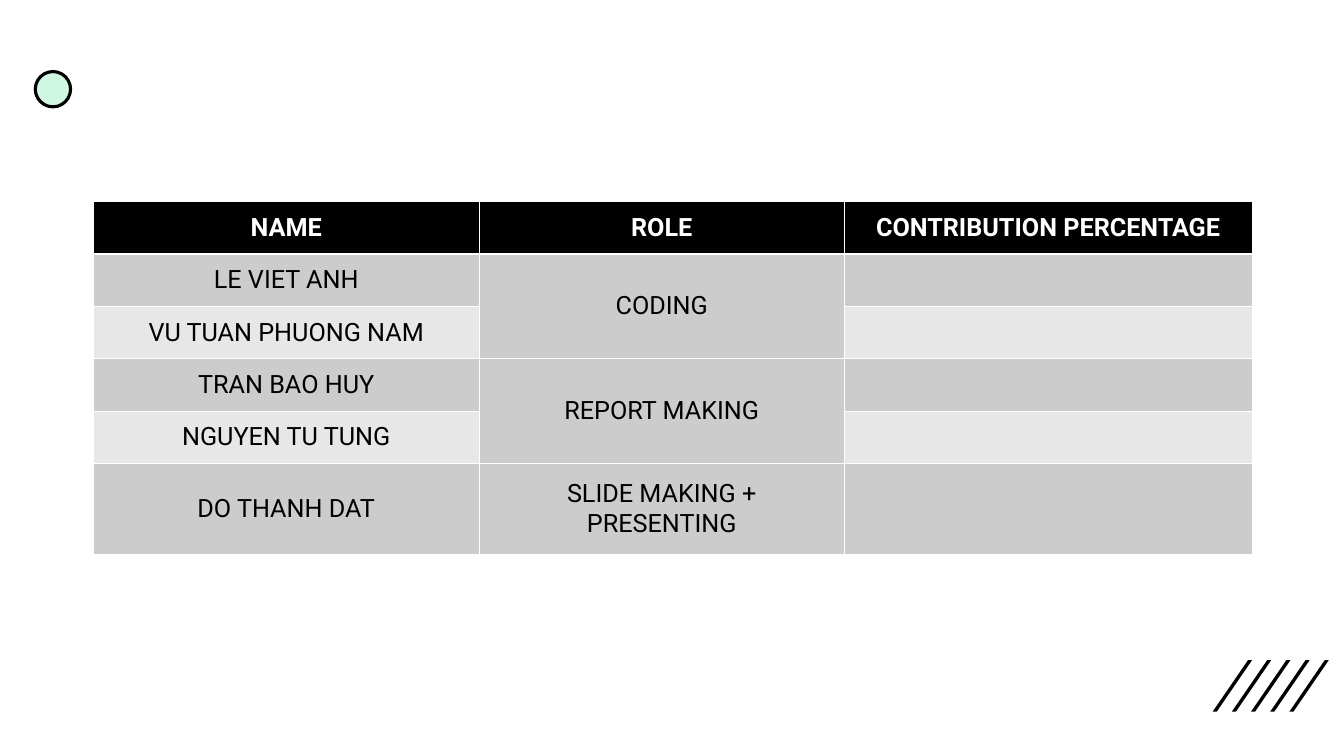
from pptx import Presentation
from pptx.dml.color import RGBColor as RGB
from pptx.enum.shapes import MSO_SHAPE as Shape
from pptx.enum.text import MSO_ANCHOR as Anchor, PP_ALIGN as Align
from pptx.util import Pt


def paint(fill, color):
    fill.solid()
    fill.fore_color.rgb = RGB.from_string(color)


deck = Presentation()
deck.slide_width, deck.slide_height = Pt(960), Pt(540)
slide = deck.slides.add_slide(deck.slide_layouts[6])
shapes = slide.shapes

# Slanted stripes, bottom right
for i in range(5):
    left, top, low = 866.2 + 13.7 * i, 471.6, 508.3
    path = shapes.build_freeform(Pt(left + 2.9), Pt(low), scale=1.0)
    path.add_line_segments([(Pt(left), Pt(low)), (Pt(left + 25.2), Pt(top)),
                            (Pt(left + 28.1), Pt(top))], close=True)
    stripe = path.convert_to_shape()
    stripe.shadow.inherit = False
    paint(stripe.fill, "000000")
    stripe.line.fill.background()

# Green dot, top left
dot = shapes.add_shape(Shape.OVAL, Pt(25.2), Pt(51.1), Pt(25.2), Pt(25.2))
dot.shadow.inherit = False
paint(dot.fill, "CFF7E1")
paint(dot.line.fill, "000000")
dot.line.width = Pt(2.25)

# Team table: the table style draws the white rules
rows = [
    ("NAME", "ROLE", "CONTRIBUTION PERCENTAGE"),
    ("LE VIET ANH", "CODING", ""),
    ("VU TUAN PHUONG NAM", "", ""),
    ("TRAN BAO HUY", "REPORT MAKING", ""),
    ("NGUYEN TU TUNG", "", ""),
    ("DO THANH DAT", "SLIDE MAKING + PRESENTING", ""),
]
wide = [276, 260.5, 291.5]
high = [37.44] * 5 + [64.8]
frame = shapes.add_table(len(rows), len(wide), Pt(66.5), Pt(144),
                         Pt(sum(wide)), Pt(sum(high)))
table = frame.table
for col, width in zip(table.columns, wide):
    col.width = Pt(width)

for r, texts in enumerate(rows):
    table.rows[r].height = Pt(high[r])
    head = r == 0
    back = "000000" if head else "CCCCCC" if r % 2 else "E7E7E7"
    style = {"name": "Roboto", "size": Pt(18), "bold": head}
    for c, text in enumerate(texts):
        cell = table.cell(r, c)
        paint(cell.fill, back)
        cell.vertical_anchor = Anchor.MIDDLE
        cell.text = text
        para = cell.text_frame.paragraphs[0]
        para.alignment = Align.CENTER
        for key, value in style.items():
            setattr(para.font, key, value)
        paint(para.font.fill, "FFFFFF" if head else "000000")

# Roles shared by two people
for r in (1, 3):
    table.cell(r, 1).merge(table.cell(r + 1, 1))

deck.save("out.pptx")
